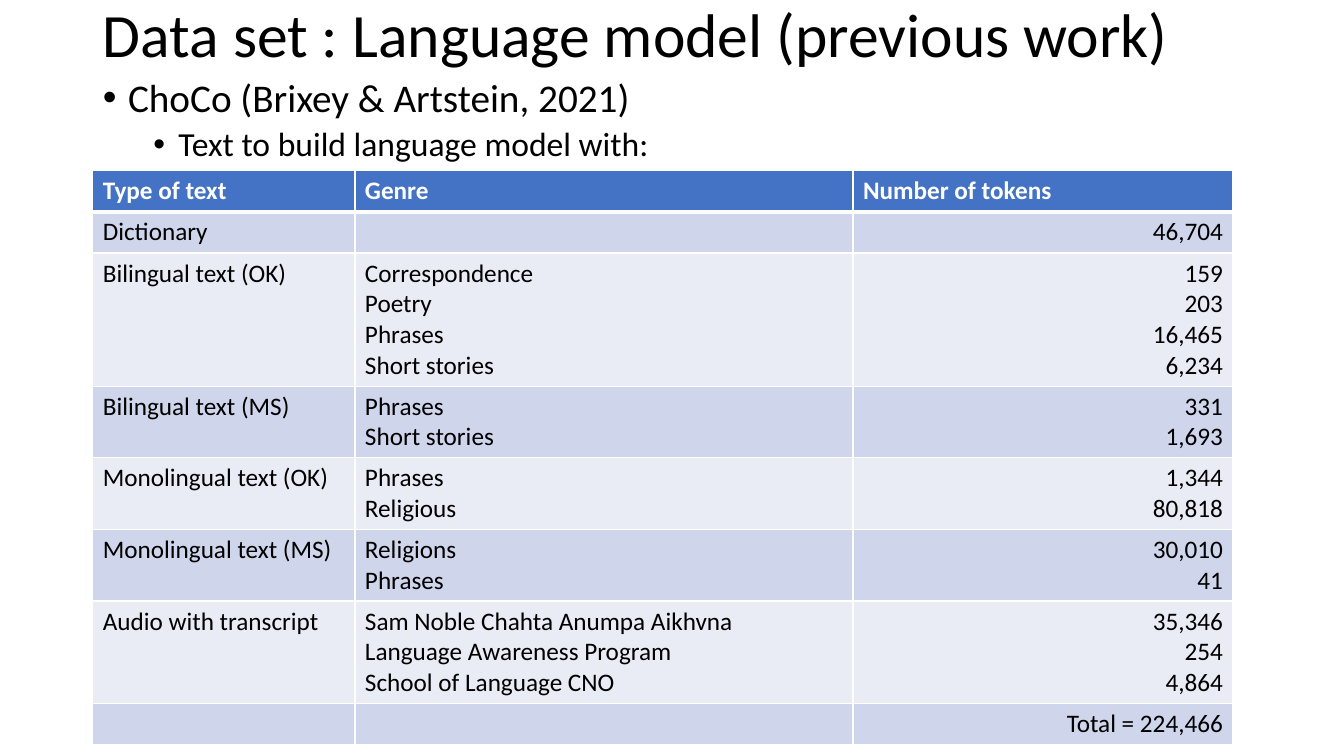
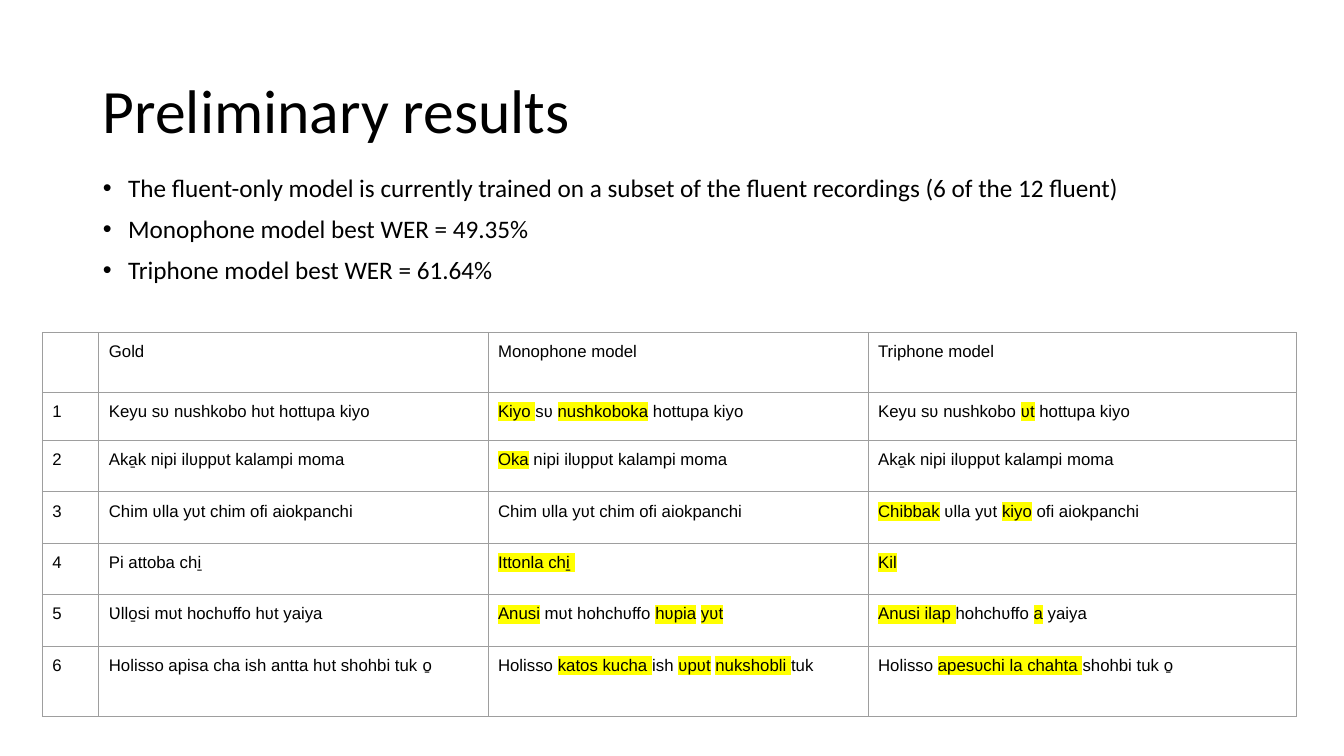
from dataclasses import dataclass

from lxml import etree
from pptx import Presentation
from pptx import util as u
from pptx.dml.color import RGBColor
from pptx.enum import text
from pptx.oxml import ns

COLORS = {
    "text": "000000",
    "white": "FFFFFF",
    "header": "4472C4",
    "band_dark": "CFD5EA",
    "band_light": "E9EBF5",
    "grid": "9E9E9E",
    "highlight": "FFFF00",
}
FONT = "Calibri"
TABLE_FONT = "Arial"
LEFT, WIDTH = 0.92, 11.5
LINE_SPACING = 0.9


@dataclass(frozen=True)
class Bullet:
    text: str
    size: int
    level: int = 0


@dataclass(frozen=True)
class CellStyle:
    font: str
    size: int
    border: str
    border_width: float
    color: str = "text"
    bold: bool = False
    fill: str | None = None
    bottom_width: float | None = None
    vertical_margin: float = 0.05
    align: text.PP_ALIGN = text.PP_ALIGN.LEFT


# Slide content; square brackets mark highlighted words
TOKEN_HEADER = ("Type of text", "Genre", "Number of tokens")
TOKEN_ROWS = [
    ("Dictionary", "", "46,704"),
    ("Bilingual text (OK)", "Correspondence\nPoetry\nPhrases\nShort stories",
     "159\n203\n16,465\n6,234"),
    ("Bilingual text (MS)", "Phrases\nShort stories", "331\n1,693"),
    ("Monolingual text (OK)", "Phrases\nReligious", "1,344\n80,818"),
    ("Monolingual text (MS)", "Religions\nPhrases", "30,010\n41"),
    ("Audio with transcript",
     "Sam Noble Chahta Anumpa Aikhvna\nLanguage Awareness Program\nSchool of Language CNO",
     "35,346\n254\n4,864"),
    ("", "", "Total = 224,466"),
]
RESULT_HEADER = ("", "Gold", "Monophone model", "Triphone model")
RESULT_ROWS = [
    ("Keyu sʋ nushkobo hʋt hottupa kiyo",
     "[Kiyo ]sʋ [nushkoboka] hottupa kiyo",
     "Keyu sʋ nushkobo [ʋt] hottupa kiyo"),
    ("Aka̱k nipi ilʋppʋt kalampi moma",
     "[Oka] nipi ilʋppʋt kalampi moma",
     "Aka̱k nipi ilʋppʋt kalampi moma"),
    ("Chim ʋlla yʋt chim ofi aiokpanchi",
     "Chim ʋlla yʋt chim ofi aiokpanchi",
     "[Chibbak] ʋlla yʋt [kiyo] ofi aiokpanchi"),
    ("Pi attoba chi̱", "[Ittonla chi̱ ]", "[Kil]"),
    ("Ʋllo̱si mʋt hochʋffo hʋt yaiya",
     "[Anusi] mʋt hohchʋffo [hʋpia] [yʋt]",
     "[Anusi ilap ]hohchʋffo [a] yaiya"),
    ("Holisso apisa cha ish antta hʋt shohbi tuk o̱",
     "Holisso [katos kucha ]ish [ʋpʋt] [nukshobli ]tuk",
     "Holisso [apesʋchi la chahta ]shohbi tuk o̱"),
]


def rgb(name: str) -> RGBColor:
    return RGBColor.from_string(COLORS[name])


def add_color(parent, tag: str, color: str) -> None:
    element = etree.SubElement(parent, ns.qn(tag))
    etree.SubElement(element, ns.qn("a:srgbClr"), val=COLORS[color])


def set_font(paragraph, name: str, size: float, color: str = "text", bold: bool = False) -> None:
    font = paragraph.font
    font.name, font.size, font.bold = name, u.Pt(size), bold
    font.color.rgb = rgb(color)


def place(shape, top: float, height: float) -> None:
    shape.left, shape.top = u.Inches(LEFT), u.Inches(top)
    shape.width, shape.height = u.Inches(WIDTH), u.Inches(height)
    shape.text_frame.auto_size = text.MSO_AUTO_SIZE.NONE


def set_bullet(paragraph, level: int) -> None:
    paragraph.level = level
    properties = paragraph._p.get_or_add_pPr()
    properties.set("marL", str(u.Inches(0.25 + 0.5 * level)))
    properties.set("indent", str(u.Inches(-0.25)))
    etree.SubElement(properties, ns.qn("a:buFont"), typeface="Arial")
    etree.SubElement(properties, ns.qn("a:buChar"), char="•")


def add_slide(presentation, title: str, title_top: float, bullets: list[Bullet],
              body_top: float, body_height: float):
    """Add a slide with a formatted title and bulleted list."""
    slide = presentation.slides.add_slide(presentation.slide_layouts[1])

    title_shape = slide.shapes.title
    place(title_shape, title_top, 1.45)
    title_shape.text_frame.vertical_anchor = text.MSO_ANCHOR.MIDDLE
    title_shape.text_frame.text = title
    paragraph = title_shape.text_frame.paragraphs[0]
    paragraph.alignment = text.PP_ALIGN.LEFT
    paragraph.line_spacing = LINE_SPACING
    set_font(paragraph, FONT, 44)

    body = slide.placeholders[1]
    place(body, body_top, body_height)
    body.text_frame.text = "\n".join(bullet.text for bullet in bullets)
    for paragraph, bullet in zip(body.text_frame.paragraphs, bullets):
        set_bullet(paragraph, bullet.level)
        paragraph.line_spacing = LINE_SPACING
        paragraph.space_before = u.Pt(5 if bullet.level else 10)
        set_font(paragraph, FONT, bullet.size)
    return slide


def set_borders(cell, style: CellStyle) -> None:
    properties = cell._tc.get_or_add_tcPr()
    for side in "LRTB":
        width = style.border_width
        if side == "B" and style.bottom_width:
            width = style.bottom_width
        line = etree.SubElement(properties, ns.qn(f"a:ln{side}"), w=str(u.Pt(width)))
        add_color(line, "a:solidFill", style.border)


def fill_cell(cell, content: str, style: CellStyle) -> None:
    set_borders(cell, style)
    if style.fill:
        cell.fill.solid()
        cell.fill.fore_color.rgb = rgb(style.fill)
    else:
        cell.fill.background()
    cell.margin_left = cell.margin_right = u.Inches(0.1)
    cell.margin_top = cell.margin_bottom = u.Inches(style.vertical_margin)

    for index, line in enumerate(content.split("\n")):
        frame = cell.text_frame
        paragraph = frame.add_paragraph() if index else frame.paragraphs[0]
        paragraph.alignment = style.align
        set_font(paragraph, style.font, style.size, style.color, style.bold)
        for position, part in enumerate(line.replace("]", "[").split("[")):
            if part:
                run = paragraph.add_run()
                run.text = part
                if position % 2:
                    add_color(run._r.get_or_add_rPr(), "a:highlight", "highlight")


def add_table(slide, left: float, top: float, widths: list[float], heights: list[float],
              banded_header: bool):
    frame = slide.shapes.add_table(
        len(heights), len(widths), u.Inches(left), u.Inches(top),
        u.Inches(sum(widths)), u.Inches(sum(heights)))
    table = frame.table
    table.first_row, table.horz_banding = banded_header, False
    for column, width in zip(table.columns, widths):
        column.width = u.Inches(width)
    for row, height in zip(table.rows, heights):
        row.height = u.Inches(height)
    return table


def build_language_model(presentation) -> None:
    slide = add_slide(
        presentation, "Data set : Language model (previous work)", -0.35,
        [Bullet("ChoCo (Brixey & Artstein, 2021)", 28),
         Bullet("Text to build language model with:", 24, level=1)],
        0.73, 5.21)

    # Each further line of text makes a row taller
    rows = [TOKEN_HEADER, *TOKEN_ROWS]
    heights = [0.41 + 0.3 * max(value.count("\n") for value in row) for row in rows]
    table = add_table(slide, LEFT, 1.69, [2.6, 4.94, 3.77], heights, True)
    for row_index, row in enumerate(rows):
        for column_index, value in enumerate(row):
            if row_index == 0:
                style = CellStyle(FONT, 18, "white", 1, color="white", bold=True,
                                  fill="header", bottom_width=3)
            else:
                style = CellStyle(
                    FONT, 18, "white", 1,
                    fill="band_dark" if row_index % 2 else "band_light",
                    align=text.PP_ALIGN.RIGHT if column_index == 2 else text.PP_ALIGN.LEFT)
            fill_cell(table.cell(row_index, column_index), value, style)


def build_results(presentation) -> None:
    slide = add_slide(
        presentation, "Preliminary results", 0.4,
        [Bullet(line, 18) for line in (
            "The fluent-only model is currently trained on a subset of the fluent"
            " recordings (6 of the 12 fluent)",
            "Monophone model best WER = 49.35%",
            "Triphone model best WER = 61.64%")],
        1.69, 5.06)

    style = CellStyle(TABLE_FONT, 12, "grid", 0.75, vertical_margin=0.1)
    rows = [RESULT_HEADER] + [(str(number), *row) for number, row in enumerate(RESULT_ROWS, 1)]
    heights = [0.59, 0.48] + [0.51] * 4 + [0.7]
    table = add_table(slide, 0.42, 3.3, [0.56, 3.86, 3.77, 4.25], heights, False)
    for row_index, row in enumerate(rows):
        for column_index, value in enumerate(row):
            fill_cell(table.cell(row_index, column_index), value, style)


def main() -> None:
    presentation = Presentation()
    presentation.slide_width = u.Inches(13.33)
    presentation.slide_height = u.Inches(7.5)
    build_language_model(presentation)
    build_results(presentation)
    presentation.save("out.pptx")


if __name__ == "__main__":
    main()
